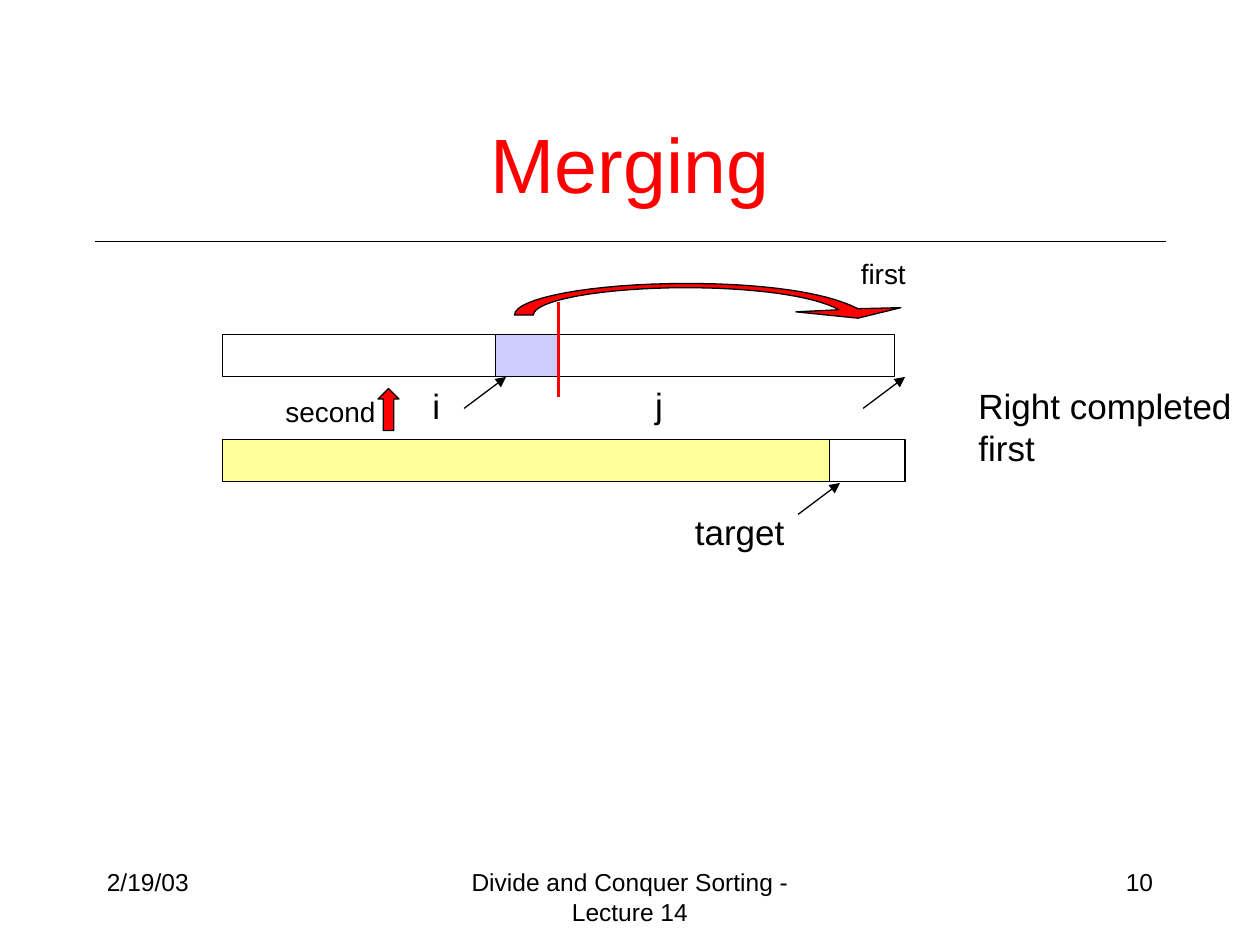
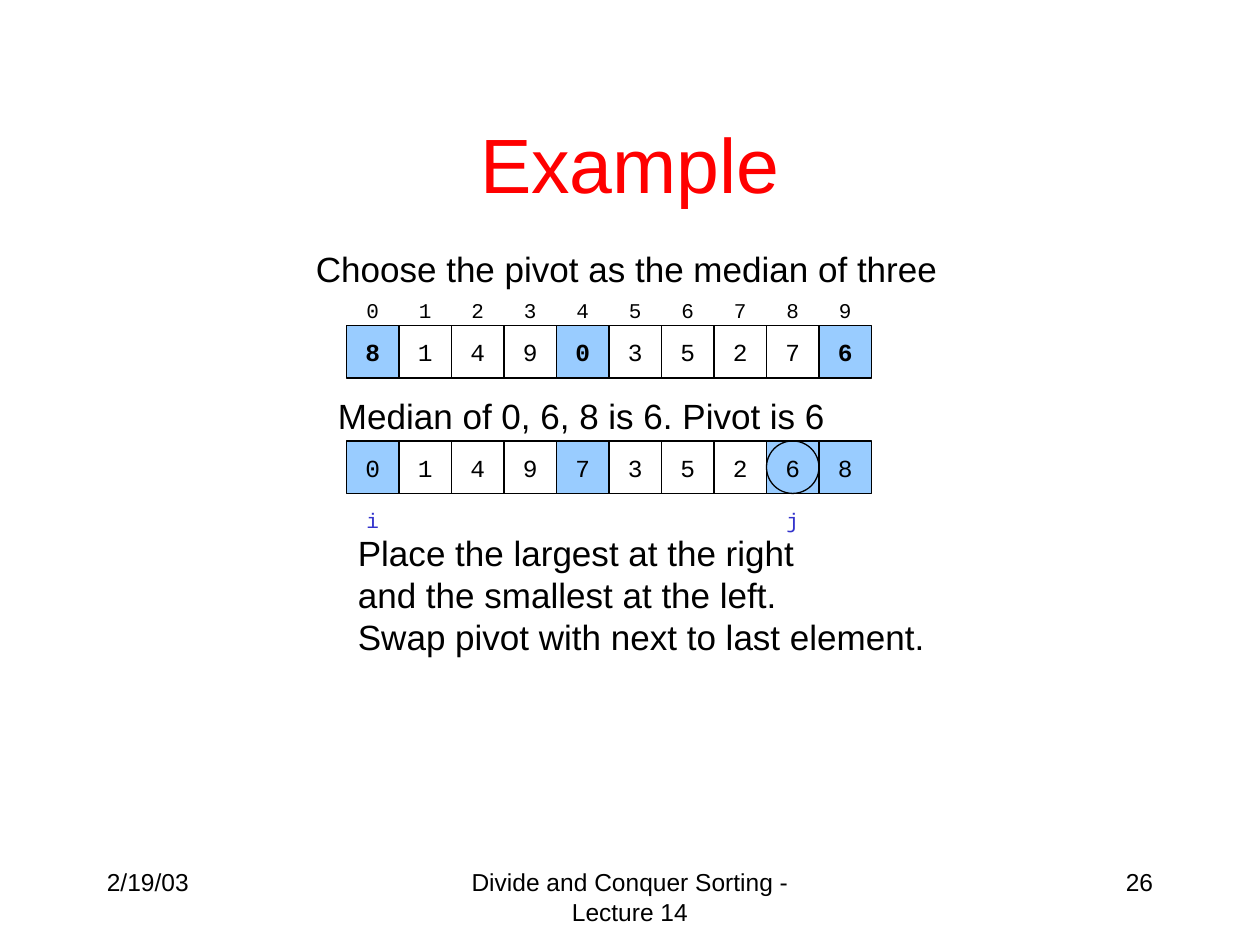
from lxml.etree import SubElement
from pptx import Presentation
from pptx.dml.color import RGBColor
from pptx.enum.shapes import MSO_CONNECTOR, MSO_SHAPE
from pptx.enum.text import MSO_ANCHOR, PP_ALIGN
from pptx.oxml.ns import qn
from pptx.util import Inches, Pt

C = {"red": "FF0000", "black": "000000", "lilac": "CCCCFF",
     "yellow": "FFFF99", "sky": "99CCFF", "blue": "3333CC"}
SANS, MONO = "Arial", "Courier New"
LEFT, CENTER, RIGHT = PP_ALIGN.LEFT, PP_ALIGN.CENTER, PP_ALIGN.RIGHT

prs = Presentation()
prs.slide_width, prs.slide_height = Inches(10), Inches(7.5)
U = prs.slide_width // 120


def add(s, kind, at, fill=None):
    x, y, w, h = [round(v * U) for v in at]
    if kind is None:
        return s.shapes.add_textbox(x, y, w, h)
    sp = s.shapes.add_shape(kind, x, y, w, h)
    sp.shadow.inherit = False
    if fill:
        sp.fill.solid()
        sp.fill.fore_color.rgb = RGBColor.from_string(C[fill])
    else:
        sp.fill.background()
    sp.line.color.rgb = RGBColor.from_string(C["black"])
    sp.line.width = Pt(0.75)
    return sp


def write(sp, lines, size, font=SANS, color="black", align=LEFT,
          anchor=MSO_ANCHOR.TOP, bold=False):
    tf = sp.text_frame
    tf.word_wrap = True
    tf.vertical_anchor = anchor
    for n, line in enumerate(lines):
        p = tf.add_paragraph() if n else tf.paragraphs[0]
        p.alignment = align
        for m, part in enumerate(line.split("\n")):
            if m:
                p.add_line_break()
            r = p.add_run()
            r.text = part
            r.font.size, r.font.name, r.font.bold = Pt(size), font, bold
            r.font.color.rgb = RGBColor.from_string(C[color])


slides = []
for title, number in [("Merging", "10"), ("Example", "26")]:
    s = prs.slides.add_slide(prs.slide_layouts[5])
    sp = s.shapes.title
    sp.left, sp.top, sp.width, sp.height = 9 * U, 8 * U, 102 * U, 15 * U
    write(sp, [title], 44, color="red", align=CENTER,
          anchor=MSO_ANCHOR.MIDDLE)
    for text, x, w, align in [
            ("2/19/03", 9, 25, LEFT),
            ("Divide and Conquer Sorting - Lecture 14", 41, 38, CENTER),
            (number, 86, 25, RIGHT)]:
        write(add(s, None, (x, 82, w, 6)), [text], 14, align=align)
    slides.append(s)
merging, example = slides

BAR_X, SPLIT_X, BAR_H = 21.2, 53.2, 4
SOURCE_Y, TARGET_Y = 31.84, 41.86
for x, y, w, fill in [
        (BAR_X, SOURCE_Y, 32, None),
        (SPLIT_X, SOURCE_Y, 32, None),
        (BAR_X, TARGET_Y, 65, None),
        (SPLIT_X - 6, SOURCE_Y, 6, "lilac"),
        (BAR_X, TARGET_Y, 57.8, "yellow")]:
    add(merging, MSO_SHAPE.RECTANGLE, (x, y, w, BAR_H), fill)

lines = [(9, 23, 102, 0, "black", 0.75, False),
         (SPLIT_X, 28.8, 0, 9, "red", 1.5, False)]
for x, y in [(44.2, 38.9), (76, 49), (82.2, 38.9)]:
    lines.append((x, y, 4, -3, "black", 0.75, True))
for x, y, dx, dy, color, width, arrow in lines:
    ends = [round(v * U) for v in (x, y, x + dx, y + dy)]
    cn = merging.shapes.add_connector(MSO_CONNECTOR.STRAIGHT, *ends)
    cn.line.color.rgb = RGBColor.from_string(C[color])
    cn.line.width = Pt(width)
    spPr = cn.element.spPr
    if arrow:
        SubElement(spPr.find(qn("a:ln")), qn("a:tailEnd"), type="triangle")
    SubElement(spPr, qn("a:effectLst"))

for lines, x, y, w, h, size in [
        (["i"], 40, 36, 4, 5.3, 20),
        (["j"], 61.2, 35.9, 4, 5.3, 20),
        (["target"], 65, 48, 12, 5.3, 20),
        (["Right completed", "first"], 92, 36, 28, 9.2, 20),
        (["first"], 80.8, 23.8, 8, 4.4, 16),
        (["second"], 26, 37, 12, 4.4, 16)]:
    write(add(merging, None, (x, y, w, h)), lines, size)

add(merging, MSO_SHAPE.UP_ARROW, (36, 37, 2, 4), "red")

swoosh = [[(49, 28.4), (56.3, 27), (65.3, 27)],
          [(72.6, 27), (78.6, 27.8), (81.7, 29.4)],
          [(85.8, 29.3)], [(81.7, 30.3)], [(75.8, 29.7)], [(79.9, 29.5)],
          [(77.4, 28.1), (71.4, 27.4), (65.3, 27.4)],
          [(57.4, 27.4), (50.8, 28.6), (50.8, 30)]]
STEPS = 16
points = [(49, 30)]
for step in swoosh:
    if len(step) == 1:
        points += step
        continue
    a, (b, c, d) = points[-1], step
    for k in range(1, STEPS + 1):
        t = k / STEPS
        points.append(tuple(
            (1 - t) ** 3 * a[i] + 3 * t * (1 - t) ** 2 * b[i]
            + 3 * t * t * (1 - t) * c[i] + t ** 3 * d[i] for i in (0, 1)))
points = [(round(x * U), round(y * U)) for x, y in points]
fb = merging.shapes.build_freeform(*points[0])
fb.add_line_segments(points[1:], close=True)
sp = fb.convert_to_shape()
sp.shadow.inherit = False
sp.fill.solid()
sp.fill.fore_color.rgb = RGBColor.from_string(C["red"])
sp.line.color.rgb = RGBColor.from_string(C["black"])
sp.line.width = Pt(0.75)

CELL, ARRAY_X = 5, 33
mono = {"font": MONO, "align": CENTER, "anchor": MSO_ANCHOR.MIDDLE}
for values, y, shaded, strong in [
        ("8149035276", 31, (0, 4, 9), True),
        ("0149735268", 42, (0, 4, 8, 9), False)]:
    for k, value in enumerate(values):
        sp = add(example, MSO_SHAPE.RECTANGLE,
                 (ARRAY_X + k * CELL, y, CELL, CELL),
                 "sky" if k in shaded else None)
        write(sp, [value], 14, bold=strong and k in shaded, **mono)
add(example, MSO_SHAPE.OVAL, (ARRAY_X + 8 * CELL, 42, CELL, CELL))

marks = [(str(k), k, 27, "black") for k in range(10)]
marks += [("i", 0, 47, "blue"), ("j", 8, 47, "blue")]
for text, k, y, color in marks:
    sp = add(example, None, (ARRAY_X + k * CELL, y, CELL, CELL))
    write(sp, [text], 12, color=color, **mono)

for lines, x, y, w, h in [
        (["Choose the pivot as the median of three"], 28.9, 23, 63, 5.3),
        (["Median of 0, 6, 8 is 6. Pivot is 6"], 31, 37, 56, 5.3),
        (["Place the largest at the right\nand the smallest at the left.",
          "Swap pivot with next to last element."], 32.9, 50, 58, 13.2)]:
    write(add(example, None, (x, y, w, h)), lines, 20)

prs.save("out.pptx")
